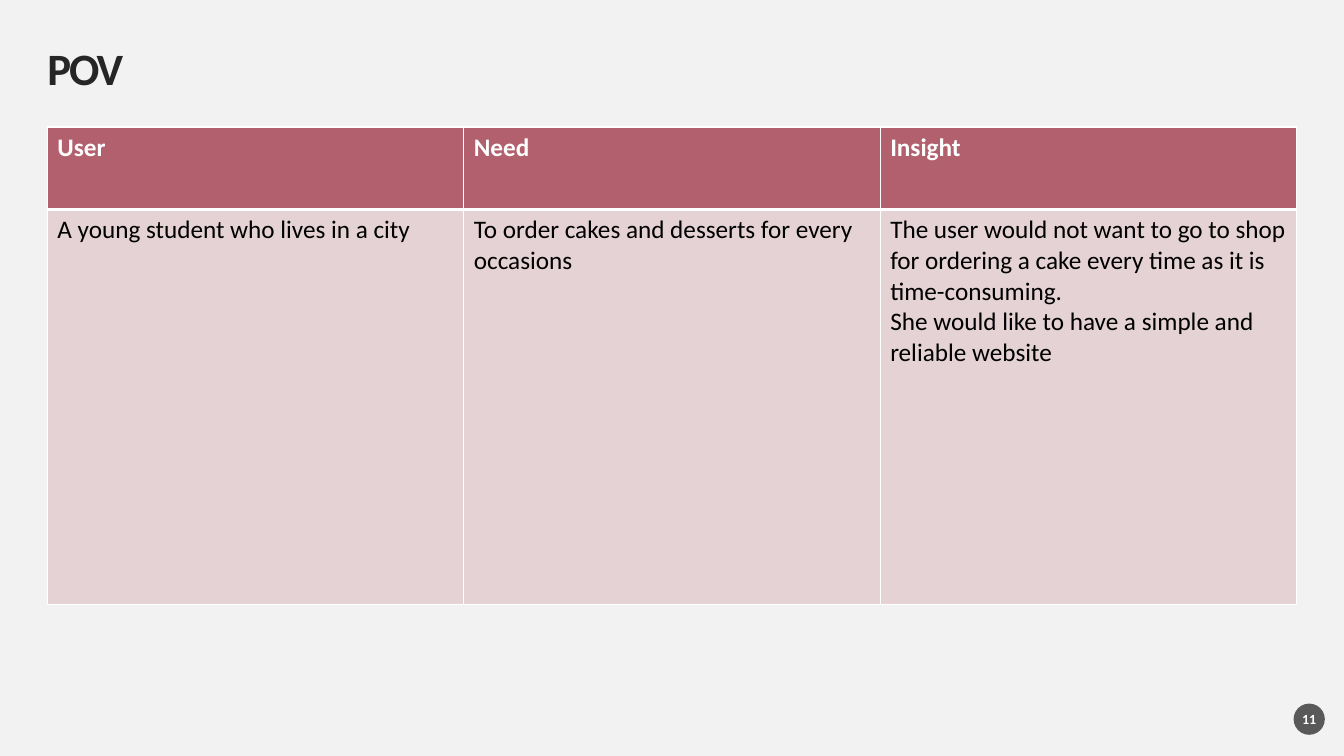
from dataclasses import dataclass

from lxml import etree
from pptx import Presentation
from pptx import util as u
from pptx.dml.color import RGBColor
from pptx.enum import shapes, text
from pptx.oxml.ns import qn


@dataclass(frozen=True)
class Theme:
    font: str = "Calibri"
    background: str = "F2F2F2"
    title: str = "262626"
    header: str = "B2606E"
    body: str = "E4D2D5"
    badge: str = "595959"
    light: str = "FFFFFF"
    dark: str = "000000"
    title_size: int = 32
    table_size: int = 18
    badge_size: int = 10


@dataclass(frozen=True)
class Box:
    left: int
    top: int
    width: int
    height: int

    def emu(self) -> tuple:
        return px(self.left), px(self.top), px(self.width), px(self.height)


@dataclass(frozen=True)
class Column:
    heading: str
    paragraphs: tuple


@dataclass(frozen=True)
class RowStyle:
    height: int
    fill: str
    color: str
    bold: bool
    top_border: int
    bottom_border: int


THEME = Theme()
EMU_PER_PX = 9144
COLUMN_WIDTH = 413
COLUMNS = (
    Column("User", ("A young student who lives in a city",)),
    Column("Need", ("To order cakes and desserts for every occasions",)),
    Column("Insight", (
        "The user would not want to go to shop for ordering a cake every time as it is time-consuming.",
        "She would like to have a simple and reliable website",
    )),
)
HEADER_ROW = RowStyle(82, THEME.header, THEME.light, True, 1, 3)
BODY_ROW = RowStyle(392, THEME.body, THEME.dark, False, 3, 1)


def px(length: int) -> int:
    return u.Emu(length * EMU_PER_PX)


def add_run(paragraph, words: str, size: int, color: str, bold: bool):
    run = paragraph.add_run()
    run.text = words
    run.font.name = THEME.font
    run.font.size = u.Pt(size)
    run.font.bold = bold
    run.font.color.rgb = RGBColor.from_string(color)
    return run


def prepare_frame(frame) -> None:
    frame.word_wrap = True
    frame.vertical_anchor = text.MSO_ANCHOR.MIDDLE
    frame.margin_left = frame.margin_right = frame.margin_top = frame.margin_bottom = 0


def add_title(slide, words: str, box: Box) -> None:
    frame = slide.shapes.add_textbox(*box.emu()).text_frame
    prepare_frame(frame)
    paragraph = frame.paragraphs[0]
    paragraph.line_spacing = 0.9
    run = add_run(paragraph, words, THEME.title_size, THEME.title, True)
    run.font._element.set("spc", "-150")


def set_borders(cell, style: RowStyle) -> None:
    properties = cell._tc.get_or_add_tcPr()
    widths = {"lnL": 1, "lnR": 1, "lnT": style.top_border, "lnB": style.bottom_border}
    for position, (side, width) in enumerate(widths.items()):
        line = etree.Element(qn(f"a:{side}"), w=str(u.Pt(width)))
        fill = etree.SubElement(line, qn("a:solidFill"))
        etree.SubElement(fill, qn("a:srgbClr"), val=THEME.light)
        properties.insert(position, line)


def fill_cell(cell, paragraphs: tuple, style: RowStyle) -> None:
    cell.fill.solid()
    cell.fill.fore_color.rgb = RGBColor.from_string(style.fill)
    set_borders(cell, style)
    frame = cell.text_frame
    for index, words in enumerate(paragraphs):
        paragraph = frame.add_paragraph() if index else frame.paragraphs[0]
        add_run(paragraph, words, THEME.table_size, style.color, style.bold)


def add_pov_table(slide, left: int, top: int) -> None:
    styles = (HEADER_ROW, BODY_ROW)
    box = Box(left, top, COLUMN_WIDTH * len(COLUMNS), sum(style.height for style in styles))
    table = slide.shapes.add_table(len(styles), len(COLUMNS), *box.emu()).table
    for row, style in zip(table.rows, styles):
        row.height = px(style.height)
    for index, column in enumerate(COLUMNS):
        table.columns[index].width = px(COLUMN_WIDTH)
        fill_cell(table.cell(0, index), (column.heading,), HEADER_ROW)
        fill_cell(table.cell(1, index), column.paragraphs, BODY_ROW)


def add_page_badge(slide, number: str, box: Box) -> None:
    shape = slide.shapes.add_shape(shapes.MSO_SHAPE.OVAL, *box.emu())
    shape.shadow.inherit = False
    shape.fill.solid()
    shape.fill.fore_color.rgb = RGBColor.from_string(THEME.badge)
    shape.line.fill.background()
    prepare_frame(shape.text_frame)
    paragraph = shape.text_frame.paragraphs[0]
    paragraph.alignment = text.PP_ALIGN.CENTER
    add_run(paragraph, number, THEME.badge_size, THEME.light, True)


def main() -> None:
    presentation = Presentation()
    presentation.slide_width = px(1333)
    presentation.slide_height = px(750)
    slide = presentation.slides.add_slide(presentation.slide_layouts[6])
    slide.background.fill.solid()
    slide.background.fill.fore_color.rgb = RGBColor.from_string(THEME.background)
    add_pov_table(slide, 47, 126)
    add_title(slide, "POV", Box(47, 47, 1239, 47))
    add_page_badge(slide, "11", Box(1283, 698, 31, 31))
    presentation.save("out.pptx")


if __name__ == "__main__":
    main()
